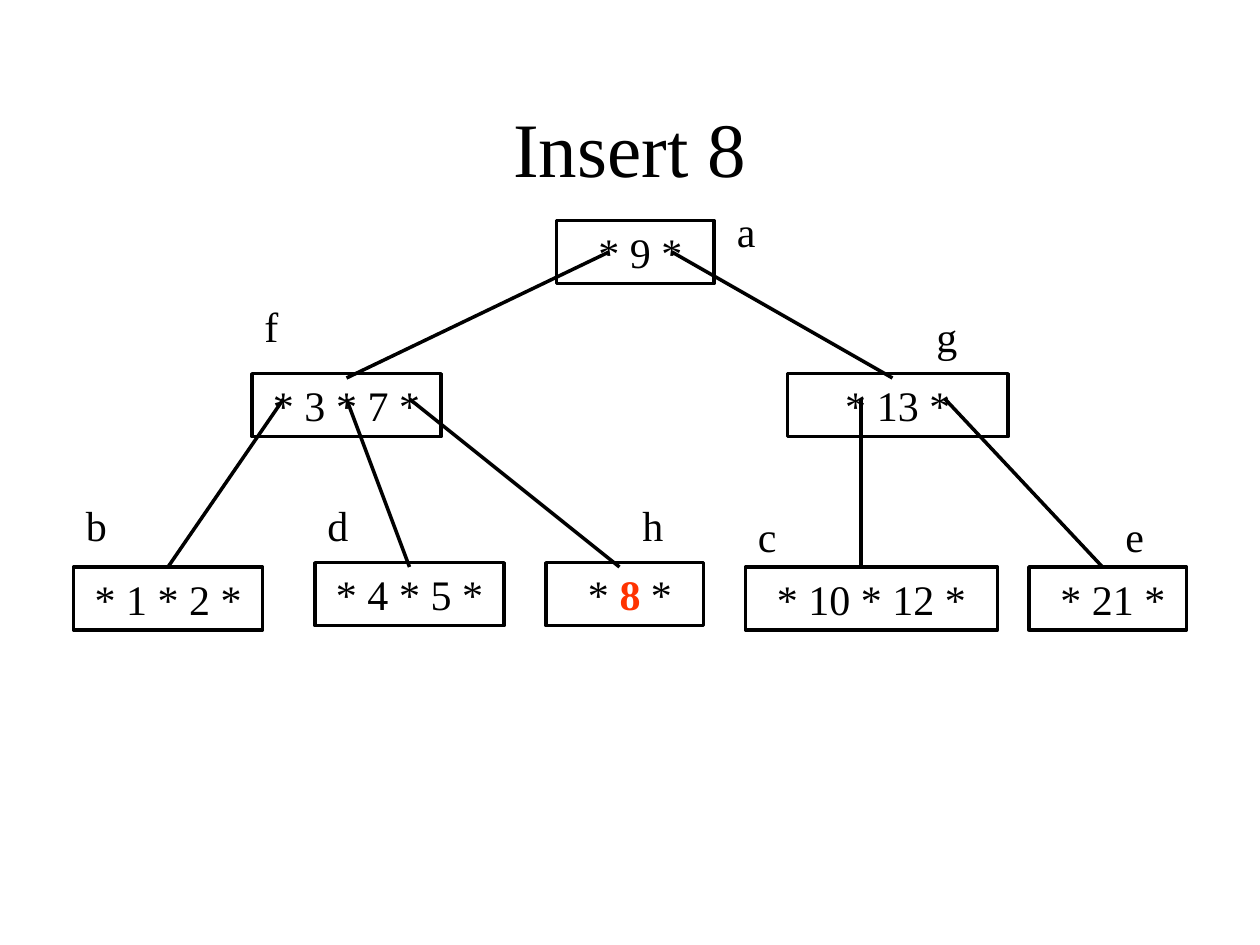
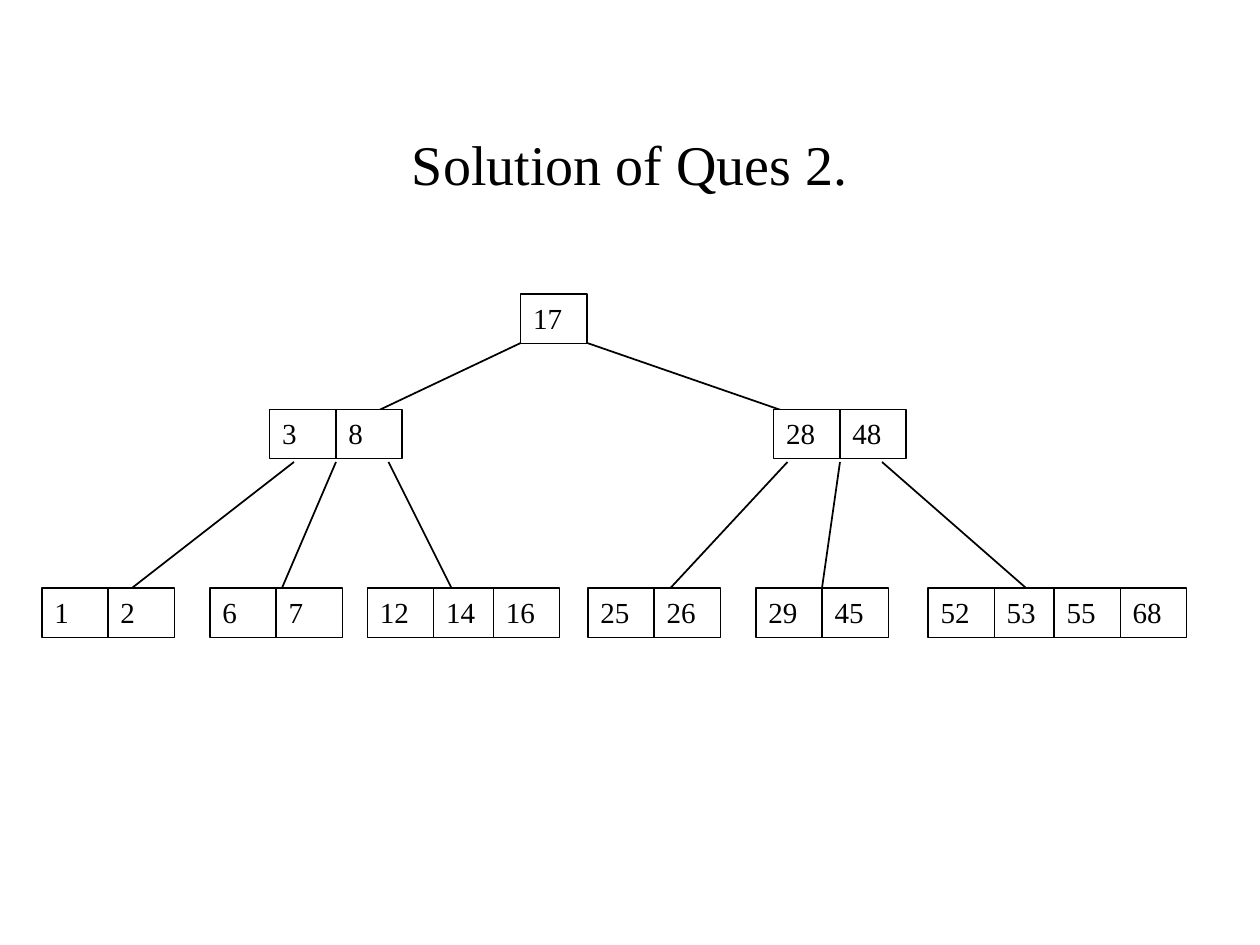
from dataclasses import dataclass

from lxml import etree
from pptx import Presentation
from pptx import util as u
from pptx.dml.color import RGBColor
from pptx.enum import shapes, text
from pptx.oxml import ns


@dataclass(frozen=True)
class Theme:
    font: str = "Times New Roman"
    ink: str = "000000"
    paper: str = "FFFFFF"
    accent: str = "FF3300"
    title_size: float = 44
    small_title_size: float = 32
    node_size: float = 24
    key_size: float = 16.6
    heavy_line: float = 2
    edge_line: float = 1
    cell_line: float = 0.75


theme = Theme()
presentation = Presentation()
presentation.slide_width = u.Inches(10)
presentation.slide_height = u.Inches(7.5)
COLUMN = presentation.slide_width / 120
ROW = presentation.slide_height / 90
LEFT, CENTER = text.PP_ALIGN.LEFT, text.PP_ALIGN.CENTER
TOP, MIDDLE = text.MSO_ANCHOR.TOP, text.MSO_ANCHOR.MIDDLE


def add_box(slide, place, words, size, align=LEFT, anchor=TOP, line=None, fill=None, accent=""):
    column, row, width, height = place
    shape = slide.shapes.add_shape(
        shapes.MSO_SHAPE.RECTANGLE,
        round(column * COLUMN), round(row * ROW), round(width * COLUMN), round(height * ROW),
    )
    shape.shadow.inherit = False
    if fill:
        shape.fill.solid()
        shape.fill.fore_color.rgb = RGBColor.from_string(fill)
    else:
        shape.fill.background()
    if line:
        shape.line.color.rgb = RGBColor.from_string(theme.ink)
        shape.line.width = u.Pt(line)
    else:
        shape.line.fill.background()
    frame = shape.text_frame
    frame_format = {"word_wrap": True, "vertical_anchor": anchor}
    for name, value in frame_format.items():
        setattr(frame, name, value)
    paragraph = frame.paragraphs[0]
    paragraph.alignment = align
    for piece in filter(None, words.partition(accent) if accent else [words]):
        run = paragraph.add_run()
        run.text = piece
        font_format = {"name": theme.font, "size": u.Pt(size), "bold": piece == accent}
        for name, value in font_format.items():
            setattr(run.font, name, value)
        run.font.color.rgb = RGBColor.from_string(theme.accent if piece == accent else theme.ink)


def add_edges(slide, edges, width):
    for top, bottom, pairs in edges:
        for start, end in pairs:
            connector = slide.shapes.add_connector(
                shapes.MSO_CONNECTOR.STRAIGHT,
                round(start * COLUMN), round(top * ROW), round(end * COLUMN), round(bottom * ROW),
            )
            connector.line.color.rgb = RGBColor.from_string(theme.ink)
            connector.line.width = u.Pt(width)
            etree.SubElement(connector._element.spPr, ns.qn("a:effectLst"))


blank = presentation.slide_layouts[6]
slides = []
for words, size, height in [
    ("Insert 8", theme.title_size, 12),
    ("Solution of Ques 2.", theme.small_title_size, 15),
]:
    slide = presentation.slides.add_slide(blank)
    add_box(slide, (9, 8, 102, height), words, size, CENTER, MIDDLE)
    slides.append(slide)
insert_slide, solution_slide = slides

nodes = [
    (" * 9 *", 53, 21, 15, "a", 69, 19),
    ("* 3 * 7 *", 24, 35.6, 18, "f", 24, 28),
    ("* 13 *", 75, 35.6, 21, "g", 88, 29),
    ("* 1 * 2 *", 7, 54, 18, "b", 7, 47),
    ("* 4 * 5 *", 30, 53.6, 18, "d", 30, 47),
    (" * 8 *", 52, 53.6, 15, "h", 60, 47),
    ("* 10 * 12 *", 71, 54, 24, "c", 71, 48),
    (" * 21 *", 98, 54, 15, "e", 106, 48),
]
for words, column, row, width, label, label_column, label_row in nodes:
    add_box(
        insert_slide, (column, row, width, 6), words, theme.node_size, CENTER,
        line=theme.heavy_line, accent="8",
    )
    add_box(insert_slide, (label_column, label_row, 6, 6), label, theme.node_size)

insert_edges = [
    (24, 36, [(58, 33), (64, 85)]),
    (38, 54, [(27, 16), (33, 39), (39, 59), (82, 82), (90, 105)]),
]
add_edges(insert_slide, insert_edges, theme.heavy_line)

solution_edges = [
    (44, 58, [(28, 10), (32, 26), (37, 44), (75, 62), (80, 78), (84, 100)]),
    (32, 41, [(51, 32), (54, 80)]),
]
add_edges(solution_slide, solution_edges, theme.edge_line)

levels = {
    28: [(49.6, [17])],
    39: [(25.7, [3, 8]), (73.7, [28, 48])],
    56: [
        (4, [1, 2]), (20, [6, 7]), (35, [12, 14, 16]),
        (56, [25, 26]), (72, [29, 45]), (88.4, [52, 53, 55, 68]),
    ],
}
for row, groups in levels.items():
    for column, keys in groups:
        for index, key in enumerate(keys):
            cell_column = column + 6 * index + 0.3 * (index % 2)
            add_box(
                solution_slide, (cell_column, row, 6.3, 4.7), str(key), theme.key_size,
                line=theme.cell_line, fill=theme.paper,
            )

presentation.save("out.pptx")
